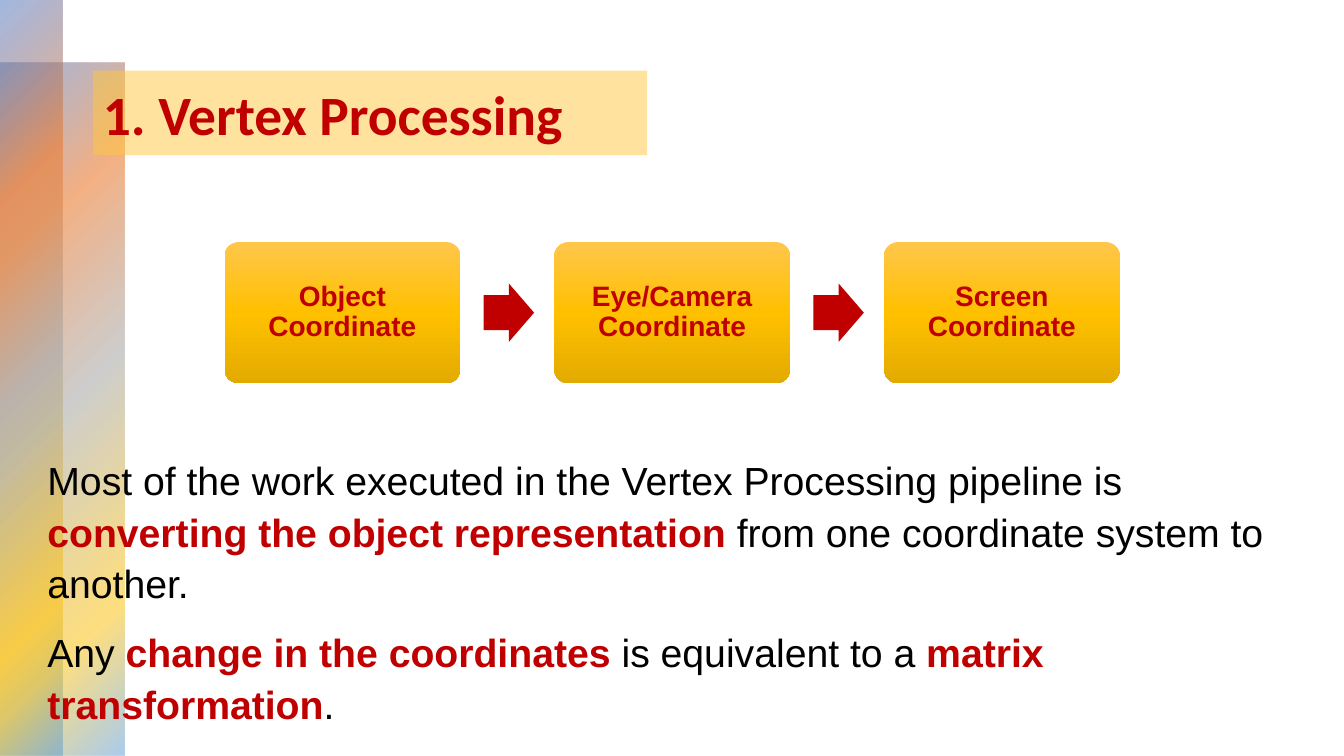
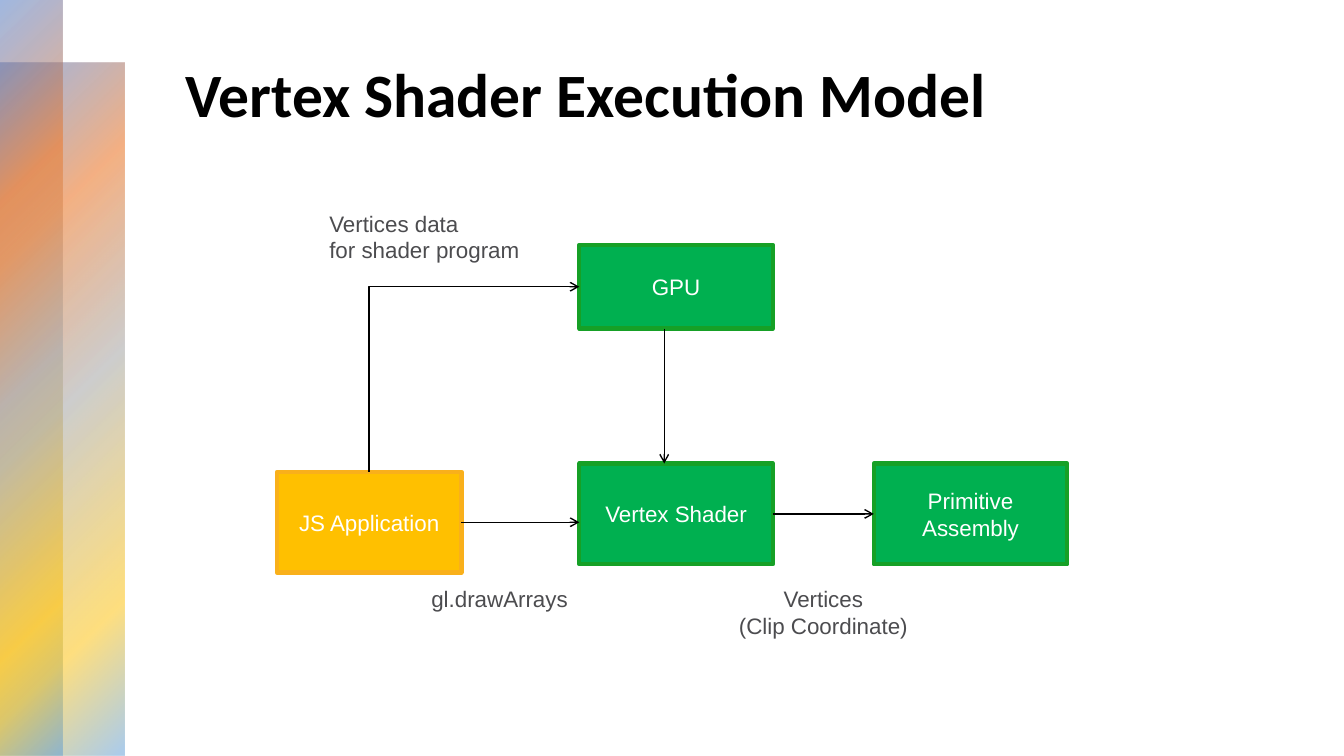
import pptx
import pptx.dml.color
import pptx.enum.shapes
import pptx.enum.text
import pptx.oxml.ns
import pptx.util
import lxml.etree

Cm = pptx.util.Cm
Pt = pptx.util.Pt
qn = pptx.oxml.ns.qn
SHAPE = pptx.enum.shapes.MSO_SHAPE
LINE = pptx.enum.shapes.MSO_CONNECTOR
ALIGN = pptx.enum.text.PP_ALIGN
ANCHOR = pptx.enum.text.MSO_ANCHOR
FIT = pptx.enum.text.MSO_AUTO_SIZE

COLOURS = {
    "black": "000000", "white": "FFFFFF", "red": "C00000", "label": "4C4C4F",
    "title band": "FFC73E", "green": "00B050", "green edge": "16A026",
    "amber": "FFC000", "amber edge": "F9B01B",
    "amber light": "FFC64B", "amber dark": "E3AB00",
    "blue": "4472C4", "orange": "ED7D31", "grey": "A5A5A5", "sky": "5B9BD5",
}
# Gradient stops: position %, colour, opacity %
RAINBOW = [(0, "blue", 50), (25, "orange", 60), (50, "grey", 55),
           (81, "amber", 50), (99, "sky", 50)]
GOLD = [(0, "amber light", 100), (50, "amber", 100), (100, "amber dark", 100)]


def colour(name):
    return pptx.dml.color.RGBColor.from_string(COLOURS[name])


def child(parent, tag, **attributes):
    return lxml.etree.SubElement(parent, qn(tag), attributes)


class Deck:
    """Holds the shared style and the page being drawn."""

    def __init__(self):
        self.deck = pptx.Presentation()
        self.deck.slide_width, self.deck.slide_height = Cm(33.87), Cm(19.05)
        self.page = None

    def new_page(self, layout):
        self.page = self.deck.slides.add_slide(self.deck.slide_layouts[layout])

    def master_bands(self):
        """Put the two side bands on the master, behind everything else."""
        tree = self.deck.slide_master.shapes.element
        places = [(0, 1.57, 3.15, 17.48), (0, 0, 1.57, 19.05)]
        for index, place in enumerate(places, start=2):
            band = self.shape(SHAPE.RECTANGLE, place)
            self.gradient(band, RAINBOW)
            band.element.xpath("./p:nvSpPr/p:cNvPr")[0].set("id", str(100 + index))
            tree.insert(index, band.element)

    # Text
    def span(self, para, text, size, ink, bold=False, font="Arial"):
        run = para.add_run()
        run.text = text
        run.font.size, run.font.bold, run.font.name = Pt(size), bold, font
        run.font.color.rgb = colour(ink)

    def lines(self, frame, texts, size, ink, bold=False, align=ALIGN.CENTER):
        for index, text in enumerate(texts):
            para = frame.add_paragraph() if index else frame.paragraphs[0]
            para.alignment = align
            self.span(para, text, size, ink, bold)
        return frame.paragraphs

    def place(self, box, place):
        box.left, box.top, box.width, box.height = map(Cm, place)

    def title(self, text, place, size, ink, anchor):
        box = self.page.shapes.title
        self.place(box, place)
        frame = box.text_frame
        frame.vertical_anchor, frame.auto_size = anchor, FIT.NONE
        para = frame.paragraphs[0]
        para.alignment = ALIGN.LEFT
        self.span(para, text, size, ink, True, "Calibri")
        return box

    def body(self, paragraphs, place):
        """Each paragraph is a list of (text, emphasised) pairs."""
        box = self.page.placeholders[1]
        self.place(box, place)
        frame = box.text_frame
        frame.auto_size, frame.vertical_anchor = FIT.NONE, ANCHOR.TOP
        for index, spans in enumerate(paragraphs):
            para = frame.add_paragraph() if index else frame.paragraphs[0]
            para.line_spacing = 1.1
            para.space_before = para.space_after = Pt(6)
            properties = para._p.get_or_add_pPr()
            properties.set("marL", "0")
            properties.set("indent", "0")
            child(properties, "a:buNone")
            for text, strong in spans:
                self.span(para, text, 28, "red" if strong else "black", strong)

    def label(self, texts, place, align=ALIGN.LEFT):
        frame = self.page.shapes.add_textbox(*map(Cm, place)).text_frame
        frame.word_wrap, frame.auto_size = False, FIT.SHAPE_TO_FIT_TEXT
        self.lines(frame, texts, 16, "label", align=align)

    # Shapes
    def shape(self, kind, place, fill=None, edge=None):
        shape = self.page.shapes.add_shape(kind, *map(Cm, place))
        shape.shadow.inherit = False
        if fill:
            self.solid(shape, fill)
        if edge:
            shape.line.color.rgb, shape.line.width = colour(edge), Pt(3)
        else:
            shape.line.fill.background()
        return shape

    def solid(self, shape, fill, opacity=100):
        shape.fill.solid()
        shape.fill.fore_color.rgb = colour(fill)
        if opacity < 100:
            for paint in shape.element.spPr.iterfind(qn("a:solidFill") + "/*"):
                child(paint, "a:alpha", val=str(opacity * 1000))

    def gradient(self, shape, stops, angle=None):
        """Linear at an angle, or circular from the top left corner."""
        geometry = shape.element.spPr.find(qn("a:prstGeom"))
        fill = child(shape.element.spPr, "a:gradFill", rotWithShape="1")
        geometry.addnext(fill)
        stop_list = child(fill, "a:gsLst")
        for position, name, opacity in stops:
            stop = child(stop_list, "a:gs", pos=str(position * 1000))
            paint = child(stop, "a:srgbClr", val=COLOURS[name])
            if opacity < 100:
                child(paint, "a:alpha", val=str(opacity * 1000))
        if angle is None:
            path = child(fill, "a:path", path="circle")
            child(path, "a:fillToRect", r="100000", b="100000")
        else:
            child(fill, "a:lin", ang=str(angle * 60000), scaled="0")

    def step(self, text, place):
        box = self.shape(SHAPE.ROUNDED_RECTANGLE, place)
        box.adjustments[0] = 0.1
        self.gradient(box, GOLD, 90)
        frame = box.text_frame
        frame.word_wrap, frame.vertical_anchor = True, ANCHOR.MIDDLE
        frame.margin_left = frame.margin_right = Cm(0.3)
        self.lines(frame, [text], 20, "red", True)[0].line_spacing = 0.9

    def node(self, texts, place, fill="green"):
        box = self.shape(SHAPE.RECTANGLE, place, fill, fill + " edge")
        box.text_frame.vertical_anchor = ANCHOR.MIDDLE
        self.lines(box.text_frame, texts, 16, "white")
        return box

    def arrow(self, start, end, begin=None, finish=None, kind=LINE.STRAIGHT,
              tip="a:tailEnd"):
        """begin and finish are (box, side) pairs to join to."""
        line = self.page.shapes.add_connector(kind, *map(Cm, start + end))
        if begin:
            line.begin_connect(*begin)
        if finish:
            line.end_connect(*finish)
        line.line.color.rgb, line.line.width = colour("black"), Pt(1)
        child(line.line._get_or_add_ln(), tip, type="arrow")
        child(line.element.spPr, "a:effectLst")
        return line


def vertex_processing(deck):
    title = deck.title("1. Vertex Processing", (2.34, 1.78, 13.97, 2.13),
                       39.6, "red", ANCHOR.MIDDLE)
    deck.solid(title, "title band", 50)
    deck.body([
        [("Most of the work executed in the Vertex Processing pipeline is ", False),
         ("converting the object representation ", True),
         ("from one coordinate system to another.", False)],
        [("Any ", False), ("change in the coordinates ", True),
         ("is equivalent to a ", False), ("matrix transformation", True),
         (".", False)],
    ], (0.94, 11.25, 32.16, 4.7))

    # Coordinate steps with an arrow between neighbours
    left, top, width, height, pitch = 5.66, 6.1, 5.94, 3.56, 8.31
    for index, name in enumerate(["Object", "Eye/Camera", "Screen"]):
        x = left + index * pitch
        if index:
            arrow = deck.shape(SHAPE.RIGHT_ARROW,
                               (x - 1.78, top + (height - 1.47) / 2, 1.27, 1.47),
                               "red")
            arrow.adjustments[0] = 0.6
        deck.step(name + " Coordinate", (x, top, width, height))


def execution_model(deck):
    deck.title("Vertex Shader Execution Model", (4.42, 1.27, 26.34, 4.32),
               44, "black", ANCHOR.TOP)

    # Stages
    shader = deck.node(["Vertex Shader"], (14.6, 11.68, 4.88, 2.54))
    gpu = deck.node(["GPU"], (14.6, 6.17, 4.88, 2.11))
    assembly = deck.node(["Primitive", "Assembly"], (22.02, 11.68, 4.88, 2.54))
    script = deck.node(["JS Application"], (6.98, 11.89, 4.65, 2.54), "amber")

    # Flow; the elbow runs back from the GPU, so its tip is at the start
    elbow = deck.arrow((14.6, 7.22), (9.3, 11.89), (gpu, 1), (script, 0),
                       LINE.ELBOW, "a:headEnd")
    elbow.element.spPr.find(qn("a:prstGeom")).set("prst", "bentConnector2")
    deck.arrow((16.74, 8.28), (16.74, 11.68))
    deck.arrow((11.63, 13.16), (14.6, 13.16), begin=(script, 3))
    deck.arrow((19.48, 12.95), (22.02, 12.95), (shader, 3), (assembly, 1))

    # Labels
    deck.label(["gl.drawArrays"], (10.62, 14.63, 4.37, 0.94))
    deck.label(["Vertices", "(Clip Coordinate)"], (18.11, 14.63, 5.28, 1.63),
               ALIGN.CENTER)
    deck.label(["Vertices data", "for shader program"], (8.05, 5.16, 5.92, 1.63))


def main():
    deck = Deck()
    deck.new_page(1)
    deck.master_bands()
    vertex_processing(deck)
    deck.new_page(5)
    execution_model(deck)
    deck.deck.save("out.pptx")


if __name__ == "__main__":
    main()
